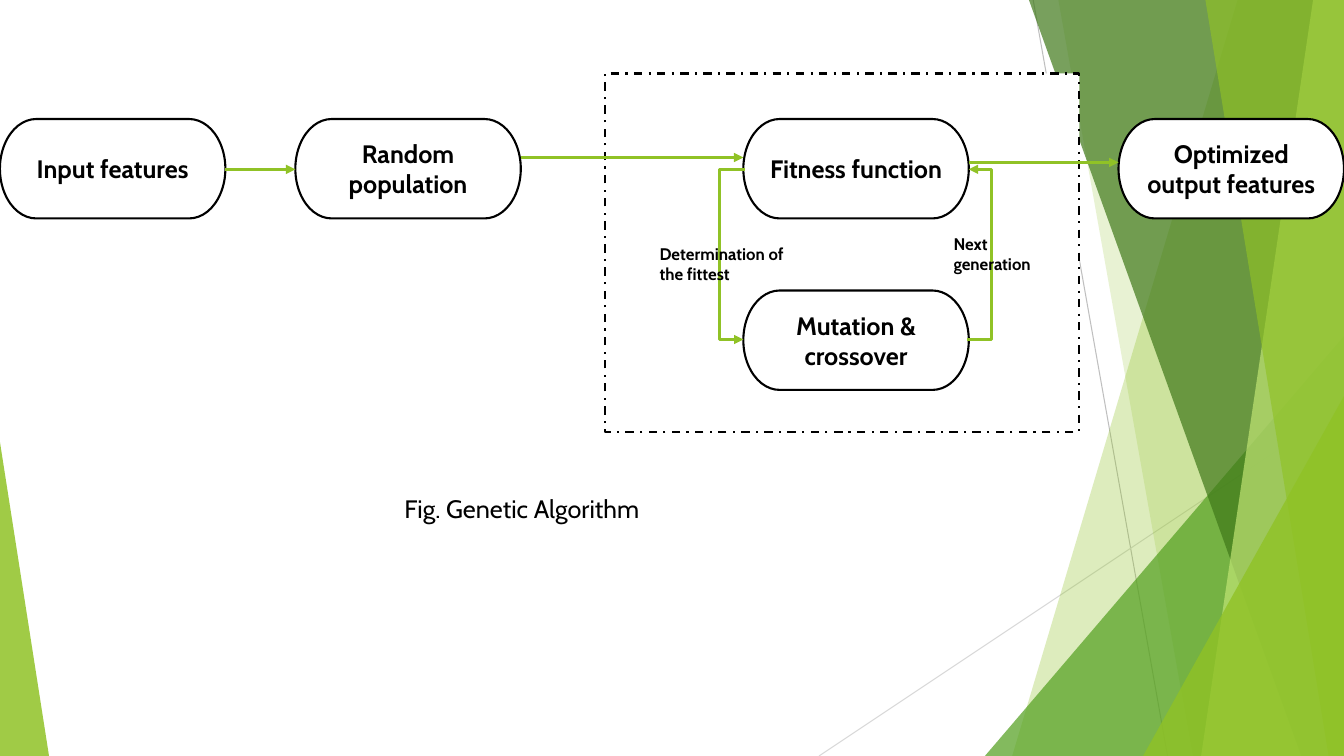
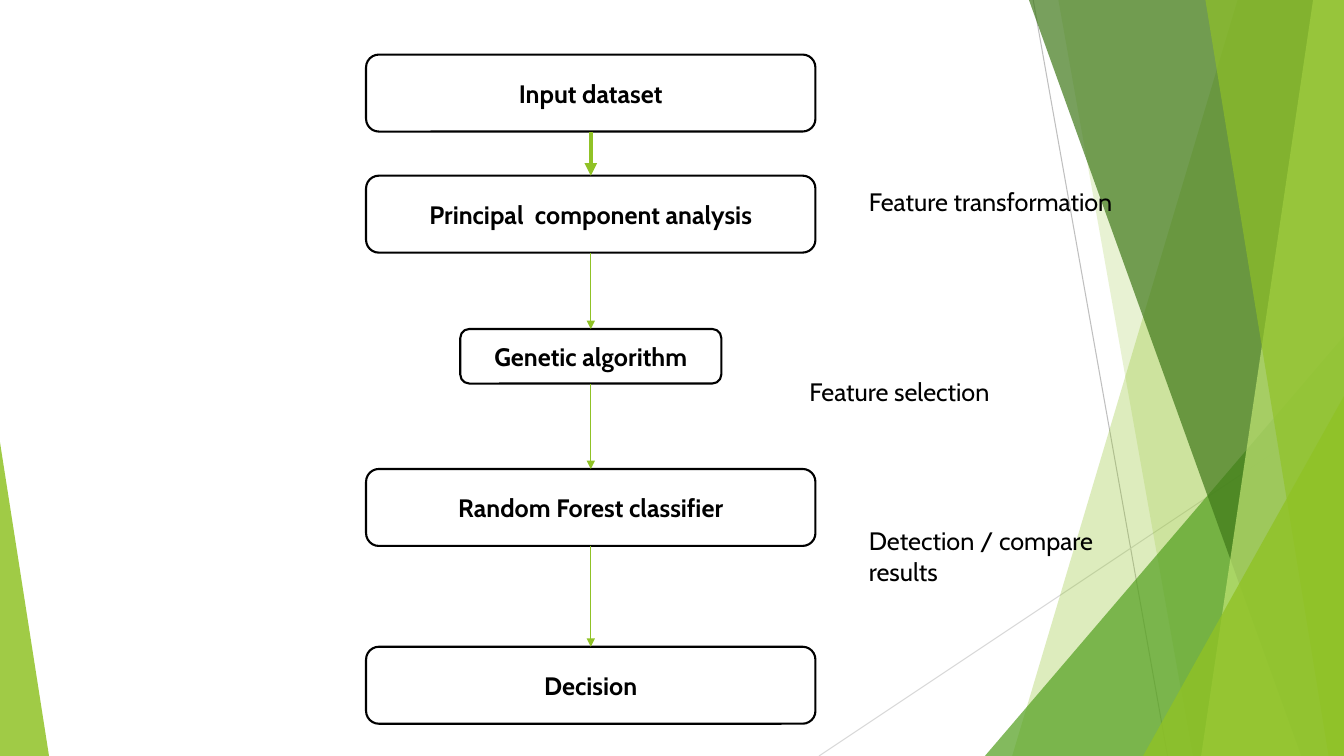
from itertools import pairwise

from lxml.etree import SubElement as Sub
from pptx import Presentation
from pptx.dml.color import RGBColor as RGB
from pptx.enum.dml import MSO_LINE_DASH_STYLE as Dash
from pptx.enum.shapes import MSO_CONNECTOR as Link
from pptx.enum.shapes import MSO_SHAPE as Kind
from pptx.enum.text import MSO_ANCHOR as Anchor
from pptx.enum.text import MSO_AUTO_SIZE as Auto
from pptx.enum.text import PP_ALIGN as Align
from pptx.oxml.ns import qn
from pptx.util import Pt

# Theme
WIDE, HIGH = 960, 540


class Theme:
    font = "Cabin"
    body, small = 18, 12
    ink, paper = "000000", "FFFFFF"
    lime, leaf, moss, pale = "90C226", "54A021", "3F7819", "C0E474"
    grey, mist = "BFBFBF", "D9D9D9"
    edge, flow, bold, thin, hair = 1.5, 2.25, 3, 1, 0.75


# Backdrop: bands give the left edge at top and bottom, wedges give a box
RAYS = [((738, 0), (834, 540), Theme.grey), ((960, 290), (585, 540), Theme.mist)]
FACETS = [
    ("band", (884, 723), Theme.lime, 30),
    ("band", (756, 852), Theme.lime, 20),
    ("wedge", (703.5, 240, 256.5, 300, 1), Theme.leaf, 72),
    ("band", (735, 929.5), Theme.moss, 70),
    ("band", (938, 858), Theme.pale, 70),
    ("band", (861, 949), Theme.lime, 65),
    ("wedge", (816.5, 283, 143.5, 257, 1), Theme.lime, 80),
    ("wedge", (0, 316, 35, 224, 0), Theme.lime, 85),
]

# Slide 1: genetic algorithm
FRAME = (432, 52.5, 339, 256)
NODE = (161, 71)
TOP, LOW = 85, 207.5
NODES = [
    ("Input features", 0, TOP),
    ("Random population", 211, TOP),
    ("Optimized output features", 799, TOP),
    ("Fitness function", 531, TOP),
    ("Mutation & crossover", 531, LOW),
]
LOOPS = [((532, 121), (531, 242.5), 513.5), ((691, 242.5), (692, 121), 708.5)]
FLOWS = [(161, 211, 121), (372, 531, 112.5), (692, 799, 116)]
NOTES = [
    ("Determination of the fittest", (464, 170.5, 112, 36)),
    ("Next generation", (674, 163.5, 85, 36)),
]
CAPTION = ("Fig. Genetic Algorithm", (170.5, 349, 404.5, 29))

# Slide 2: pipeline, as text, top, width, height
MID = 422
STEPS = [
    ("Input dataset", 39, 321, 55),
    ("Principal  component analysis", 125.5, 321, 55),
    ("Genetic algorithm", 235, 186.5, 39),
    ("Random Forest classifier", 335, 321, 55),
    ("Decision", 462, 321, 55),
]
SIDES = [
    ("Feature transformation", (613.5, 129.5, 191.5, 51)),
    ("Feature selection", (571, 265.5, 171, 29)),
    ("Detection / compare results", (613.5, 372, 199, 51)),
]


# Helpers
def tint(code):
    return RGB.from_string(code)


def apply(part, form):
    for key, val in form.items():
        setattr(part, key, val)


def write(shape, text, size=Theme.body, bold=False, align=Align.LEFT, **frame):
    apply(shape.text_frame, {"word_wrap": True, **frame})
    para = shape.text_frame.paragraphs[0]
    para.alignment = align
    run = para.add_run()
    run.text = text
    apply(run.font, {"name": Theme.font, "size": Pt(size), "bold": bold})
    run.font.color.rgb = tint(Theme.ink)


def label(slide, text, box, **form):
    shape = slide.shapes.add_textbox(*map(Pt, box))
    write(shape, text, auto_size=Auto.SHAPE_TO_FIT_TEXT, **form)


def panel(slide, kind, box, text="", dash=None):
    shape = slide.shapes.add_shape(kind, *map(Pt, box))
    shape.shadow.inherit = False
    shape.fill.solid()
    shape.fill.fore_color.rgb = tint(Theme.paper)
    shape.line.color.rgb = tint(Theme.ink)
    apply(shape.line, {"width": Pt(Theme.edge), "dash_style": dash})
    if text:
        write(shape, text, bold=True, align=Align.CENTER,
              vertical_anchor=Anchor.MIDDLE)


def stroke(slide, start, end, color=Theme.lime, width=Theme.flow, head=True, via=None):
    kind = Link.STRAIGHT if via is None else Link.ELBOW
    line = slide.shapes.add_connector(kind, *map(Pt, (*start, *end)))
    line.line.color.rgb = tint(color)
    line.line.width = Pt(width)
    props = line.element.spPr
    if head:
        Sub(props.find(qn("a:ln")), qn("a:tailEnd"), type="triangle")
    Sub(props, qn("a:effectLst"))
    if via is not None:
        bend = (via - start[0]) / (end[0] - start[0])
        geom = props.find(qn("a:prstGeom"))
        guides = geom.find(qn("a:avLst"))
        if guides is None:
            guides = Sub(geom, qn("a:avLst"))
        Sub(guides, qn("a:gd"), name="adj1", fmla=f"val {round(bend * 100000)}")
        if end[0] < start[0]:
            # A half turn plus a vertical flip mirrors the loop
            form = props.find(qn("a:xfrm"))
            form.attrib.clear()
            form.set("rot", "10800000")
            form.set("flipV", "1")


def facet(slide, kind, dims, color, alpha):
    if kind == "band":
        top, low = dims
        pen = slide.shapes.build_freeform(Pt(top), 0)
        rest = [(WIDE, 0), (WIDE, HIGH), (low, HIGH)]
        pen.add_line_segments([(Pt(x), Pt(y)) for x, y in rest])
        shape = pen.convert_to_shape()
    else:
        *box, peak = dims
        shape = slide.shapes.add_shape(Kind.ISOSCELES_TRIANGLE, *map(Pt, box))
        shape.adjustments[0] = peak
    shape.shadow.inherit = False
    shape.fill.solid()
    shape.fill.fore_color.rgb = tint(color)
    shape.line.fill.background()
    mark = next(shape.element.spPr.iter(qn("a:srgbClr")))
    Sub(mark, qn("a:alpha"), val=str(alpha * 1000))


def backdrop(slide, layout):
    """Draw the shared art, then move it to the layout."""
    for item in list(layout.placeholders):
        item.element.getparent().remove(item.element)
    for start, end, color in RAYS:
        stroke(slide, start, end, color, Theme.hair, head=False)
    for item in FACETS:
        facet(slide, *item)
    for shape in list(slide.shapes):
        layout.shapes.element.append(shape.element)


# Slides
def genetic(slide):
    panel(slide, Kind.RECTANGLE, FRAME, dash=Dash.DASH_DOT)
    for text, x, y in NODES:
        panel(slide, Kind.FLOWCHART_TERMINATOR, (x, y, *NODE), text)
    for start, end, via in LOOPS:
        stroke(slide, start, end, via=via)
    for text, box in NOTES:
        label(slide, text, box, size=Theme.small, bold=True)
    for left, right, y in FLOWS:
        stroke(slide, (left, y), (right, y))
    label(slide, *CAPTION, align=Align.CENTER)


def pipeline(slide):
    for text, top, wide, high in STEPS:
        panel(slide, Kind.ROUNDED_RECTANGLE, (MID - wide / 2, top, wide, high), text)
    for i, (prev, step) in enumerate(pairwise(STEPS)):
        stroke(slide, (MID, prev[1] + prev[3]), (MID, step[1]),
               width=Theme.thin if i else Theme.bold)
    for text, box in SIDES:
        label(slide, text, box)


def main():
    deck = Presentation()
    apply(deck, {"slide_width": Pt(WIDE), "slide_height": Pt(HIGH)})
    blank = deck.slide_layouts[6]
    first, second = (deck.slides.add_slide(blank) for _ in range(2))
    backdrop(first, blank)
    genetic(first)
    pipeline(second)
    deck.save("out.pptx")


if __name__ == "__main__":
    main()
